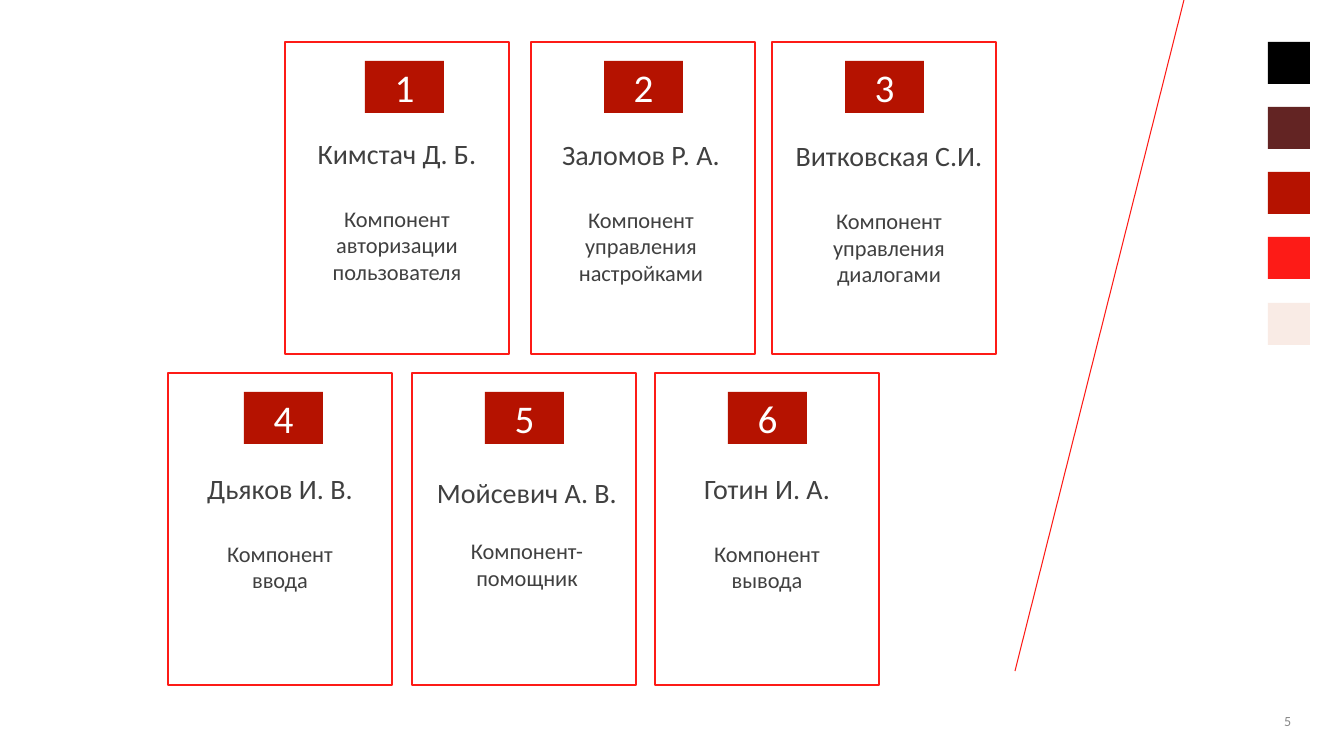
from pptx import Presentation, util as u
from pptx.dml.color import RGBColor
from pptx.enum import shapes, text
from pptx.oxml.ns import qn
from lxml import etree

PX = 914400 / 100.8
FONT = "Calibri"
COLORS = {
    "black": "000000",
    "maroon": "632423",
    "crimson": "B51200",
    "red": "FD1B17",
    "blush": "F9EBE5",
    "white": "FFFFFF",
    "body": "404040",
    "muted": "898989",
}
SWATCHES = ["black", "maroon", "crimson", "red", "blush"]
CARD_W, CARD_H = 224, 312
BADGE_W, BADGE_H = 79, 52
LABEL_W = 228

# fields: card left, top; badge dx; label dx, dy, height; gap; name; role
CARDS = [
    (285, 42, 80, -2, 90, 159, 20, "Кимстач Д. Б.", ["Компонент авторизации пользователя"]),
    (531, 42, 73, -4, 91, 159, 20, "Заломов Р. А.", ["Компонент", "управления настройками"]),
    (772, 42, 73, 3, 92, 159, 20, "Витковская С.И.", ["Компонент управления", "диалогами"]),
    (168, 373, 76, -2, 94, 132, 20, "Дьяков И. В.", ["Компонент", "ввода"]),
    (412, 373, 73, 1, 98, 126, 16, "Мойсевич А. В.", ["Компонент-помощник"]),
    (655, 373, 73, -2, 94, 132, 20, "Готин И. А.", ["Компонент", "вывода"]),
]


def px(*lengths):
    return [u.Emu(round(length * PX)) for length in lengths]


def rgb(name):
    return RGBColor.from_string(COLORS[name])


def add_rect(slide, box, fill, line=None):
    rect = slide.shapes.add_shape(shapes.MSO_SHAPE.RECTANGLE, *px(*box))
    rect.shadow.inherit = False
    rect.fill.solid()
    rect.fill.fore_color.rgb = rgb(fill)
    if line:
        rect.line.color.rgb = rgb(line)
        rect.line.width = u.Pt(1)
    else:
        rect.line.fill.background()
    return rect


def style(paragraph, size, color, align):
    paragraph.alignment = align
    paragraph.font.size = u.Pt(size)
    paragraph.font.name = FONT
    paragraph.font.color.rgb = rgb(color)


def add_swatches(slide, left, top, size):
    for i, color in enumerate(SWATCHES):
        add_rect(slide, (left, top + i * 261 // 4, size, size), color)


def add_diagonal(slide, start, end):
    diagonal = slide.shapes.add_connector(
        shapes.MSO_CONNECTOR.STRAIGHT, *px(*start, *end))
    diagonal.line.color.rgb = rgb("red")
    diagonal.line.width = u.Pt(0.75)
    etree.SubElement(diagonal._element.spPr, qn("a:effectLst"))


def add_page_number(slide, box, number):
    frame = slide.shapes.add_textbox(*px(*box)).text_frame
    frame.word_wrap = True
    frame.vertical_anchor = text.MSO_ANCHOR.MIDDLE
    frame.text = str(number)
    style(frame.paragraphs[0], 10, "muted", text.PP_ALIGN.RIGHT)


def add_card(slide, left, top, number, badge_dx):
    add_rect(slide, (left, top, CARD_W, CARD_H), "white", "red")
    badge = add_rect(slide, (left + badge_dx, top + 19, BADGE_W, BADGE_H), "crimson")
    frame = badge.text_frame
    frame.vertical_anchor = text.MSO_ANCHOR.MIDDLE
    frame.text = str(number)
    style(frame.paragraphs[0], 28, "white", text.PP_ALIGN.CENTER)


def add_label(slide, box, gap, name, role):
    frame = slide.shapes.add_textbox(*px(*box)).text_frame
    frame.word_wrap = True
    frame.auto_size = text.MSO_AUTO_SIZE.SHAPE_TO_FIT_TEXT
    frame.text = "\n".join([name, *role])
    for i, paragraph in enumerate(frame.paragraphs):
        style(paragraph, 16 if i else 20, "body", text.PP_ALIGN.CENTER)
    frame.paragraphs[1].space_before = u.Pt(round(gap * 1.22, 1))


def build_team_slide(slide):
    add_swatches(slide, 1268, 42, 42)
    add_diagonal(slide, (1184, 0), (1015, 671))
    add_page_number(slide, (1132, 701, 169, 40), 5)
    for number, (left, top, badge_dx, *_) in enumerate(CARDS, 1):
        add_card(slide, left, top, number, badge_dx)
    for left, top, _, dx, dy, height, gap, name, role in CARDS:
        add_label(slide, (left + dx, top + dy, LABEL_W, height), gap, name, role)


def main():
    deck = Presentation()
    deck.slide_width, deck.slide_height = px(1344, 756)
    build_team_slide(deck.slides.add_slide(deck.slide_layouts[6]))
    deck.save("out.pptx")


if __name__ == "__main__":
    main()
